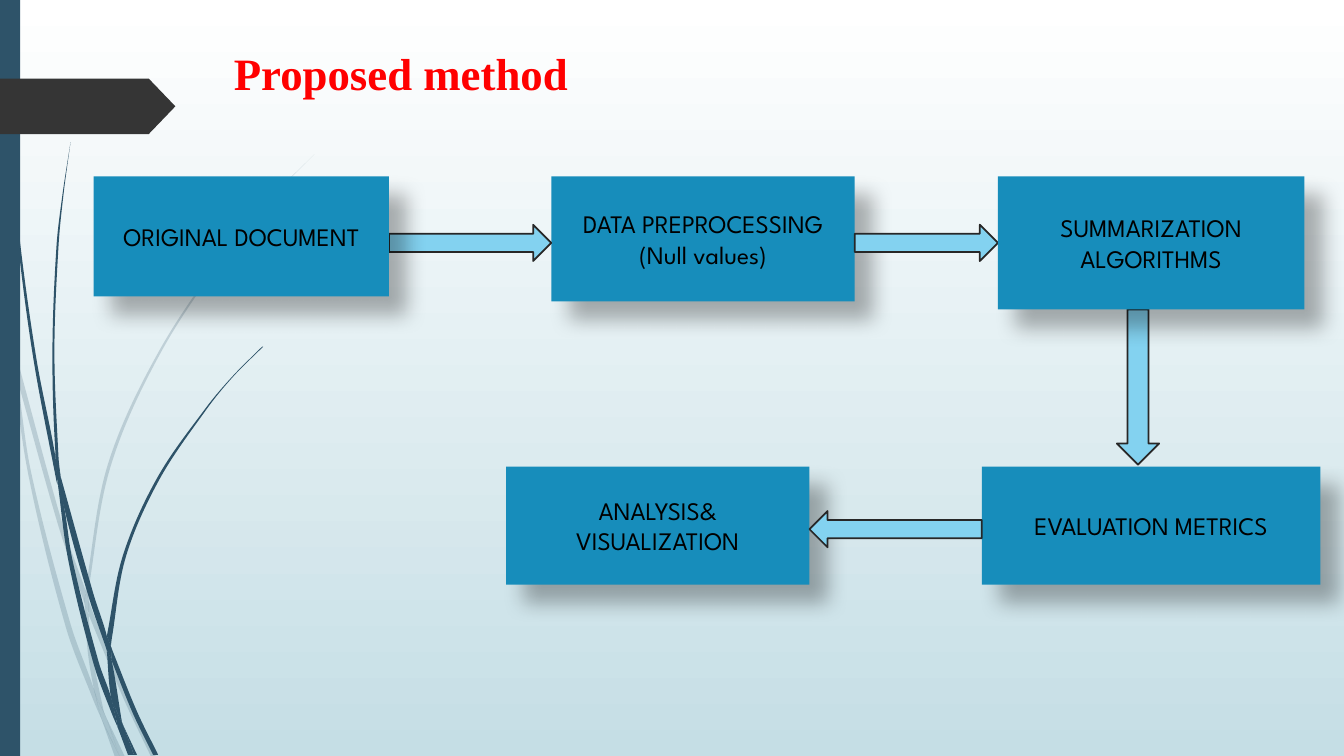
from math import dist

from lxml.etree import SubElement
from pptx import Presentation
from pptx.dml.color import RGBColor
from pptx.enum.shapes import MSO_SHAPE
from pptx.enum.text import MSO_ANCHOR, MSO_AUTO_SIZE, PP_ALIGN
from pptx.oxml.ns import qn
from pptx.util import Pt

PX = 9144  # one px is a hundredth of an inch

WHITE = RGBColor(0xFF, 0xFF, 0xFF)
BLACK = RGBColor(0x00, 0x00, 0x00)
RED = RGBColor(0xFF, 0x00, 0x00)
MIST = RGBColor(0xC5, 0xDE, 0xE5)
NAVY = RGBColor(0x2E, 0x53, 0x69)
CHARCOAL = RGBColor(0x35, 0x35, 0x35)
BLUE = RGBColor(0x17, 0x8D, 0xBB)
SKY = RGBColor(0x83, 0xD2, 0xF0)
INK = RGBColor(0x27, 0x27, 0x27)

TITLE_FONT = {"name": "Times New Roman", "size": Pt(32), "bold": True}
STEP_FONT = {"name": "League Spartan", "size": Pt(18), "bold": False}

# Grass pieces: x,y knots of both edges, from tip to root
FAINT_GRASS = """
0,282 9,322 11,350 | 0,299 10,344 11,350
14,345 62,520 85,586 | 17,376 58,522 84,599
88,596 92,607 127,692 155,751 | 88,610 123,694 150,751
105,711 124,751 | 105,711 119,751
11,350 17,376 31,469 70,619 93,683 99,707 101,714 | 11,350 28,470 65,621 92,693 101,714
88,610 91,646 103,706 105,711 | 84,599 87,646 93,683 96,692 105,711
312,153 268,198 229,245 160,349 110,462 88,584 88,596 | 312,153 268,197 228,244 158,348 107,461 85,584 85,586
101,714 119,751 | 101,714 114,751
85,586 88,596 88,610 | 85,586 84,599 88,608
93,683 96,692 105,711 119,751 | 93,683 99,707 101,714 119,751
"""
DARK_GRASS = """
4,0 5,48 8,109 19,232 36,355 55,453 57,481 | 3,0 4,48 7,110 17,233 33,355 56,477 57,481
60,472 93,590 106,631 106,645 | 60,472 64,505 88,592 106,645
110,641 113,649 136,706 157,749 | 111,656 132,708 152,749
57,477 64,505 72,556 98,657 110,691 117,722 | 57,477 68,557 93,659 111,708 117,722
70,141 63,193 58,245 54,349 58,453 60,472 | 70,141 62,193 56,245 52,349 55,449 60,472
122,719 136,749 | 122,719 133,749
55,449 60,472 64,505 | 55,449 55,453 57,477 64,505
261,344 231,374 205,406 158,476 125,552 111,633 110,641 | 260,344 231,373 204,405 156,474 122,551 106,631
117,722 131,749 | 117,722 127,749
106,645 111,656 121,716 122,719 | 106,645 110,691 116,706 122,719
106,631 110,641 111,656 | 106,631 106,645 109,651 111,656
110,691 116,706 122,719 133,749 | 110,691 116,717 117,722 130,749
"""

# Process steps: left, top, width, height and lines
STEPS = {
    "document": (93, 175, 293, 119, ["ORIGINAL DOCUMENT"]),
    "preprocessing": (547, 175, 301, 124, ["DATA PREPROCESSING", "(Null values)"]),
    "algorithms": (990, 175, 304, 132, ["SUMMARIZATION ALGORITHMS"]),
    "metrics": (974, 463, 336, 117, ["EVALUATION METRICS"]),
    "analysis": (502, 463, 301, 117, ["ANALYSIS& VISUALIZATION"]),
}


def handle(knot, toward, behind):
    """Control point that leaves knot toward the next one on a smooth curve."""
    reach = dist(knot, toward)
    share = reach / (3 * (reach + dist(knot, behind)) or 1)
    return tuple(k + (t - b) * share for k, t, b in zip(knot, toward, behind))


class FlowSlide:
    def __init__(self, presentation):
        self.slide = presentation.slides.add_slide(presentation.slide_layouts[5])
        self.shapes = self.slide.shapes

    def background(self, top, bottom):
        fill = self.slide.background.fill
        fill.gradient()
        fill.gradient_angle = 270
        for stop, color in zip(fill.gradient_stops, (top, bottom)):
            stop.color.rgb = color

    def style_text(self, paragraph, values, color, alignment):
        paragraph.alignment = alignment
        for key, value in values.items():
            setattr(paragraph.font, key, value)
        paragraph.font.color.rgb = color

    def title(self, text, *box):
        heading = self.shapes.title
        for key, length in zip(("left", "top", "width", "height"), box):
            setattr(heading, key, length * PX)
        frame = heading.text_frame
        frame.text = text
        settings = {"auto_size": MSO_AUTO_SIZE.NONE, "word_wrap": True,
                    "vertical_anchor": MSO_ANCHOR.TOP}
        for key, value in settings.items():
            setattr(frame, key, value)
        self.style_text(frame.paragraphs[0], TITLE_FONT, RED, PP_ALIGN.LEFT)

    def paint(self, shape, color):
        shape.shadow.inherit = False
        shape.fill.solid()
        shape.fill.fore_color.rgb = color
        shape.line.fill.background()

    def block(self, kind, box, color):
        shape = self.shapes.add_shape(kind, *(length * PX for length in box))
        self.paint(shape, color)
        return shape

    def grass(self, piece, opacity):
        edges = [[tuple(int(n) * PX for n in knot.split(",")) for knot in edge.split()]
                 for edge in piece.split("|")]
        outline = edges[0] + edges[1][::-1]
        builder = self.shapes.build_freeform(*outline[0], scale=1.0)
        builder.add_line_segments(outline[1:], close=True)
        blade = builder.convert_to_shape()
        self.paint(blade, NAVY)
        self.bend(blade, len(edges[0]))
        if opacity < 100:
            color = blade._element.spPr.find(f".//{qn('a:srgbClr')}")
            SubElement(color, qn("a:alpha"), val=str(opacity * 1000))

    def bend(self, blade, turn):
        """Turn the segments of both edges into cubic curves."""
        segments = blade._element.spPr.findall(f".//{qn('a:path')}/*")[:-1]
        knots = [(int(s[0].get("x")), int(s[0].get("y"))) for s in segments]
        for first, last in ((0, turn - 1), (turn, len(knots) - 1)):
            for i in range(first, last):
                start, end = knots[i], knots[i + 1]
                before, after = knots[max(i - 1, first)], knots[min(i + 2, last)]
                line = segments[i + 1]
                curve = line.makeelement(qn("a:cubicBezTo"))
                for x, y in (handle(start, end, before), handle(end, start, after), end):
                    SubElement(curve, qn("a:pt"), x=str(round(x)), y=str(round(y)))
                line.getparent().replace(line, curve)

    def step(self, left, top, width, height, lines):
        panel = self.block(MSO_SHAPE.RECTANGLE, (left, top, width, height), BLUE)
        effects = panel._element.spPr.find(qn("a:effectLst"))
        shadow = SubElement(effects, qn("a:outerShdw"), blurRad=str(Pt(15)),
                            dist=str(Pt(18)), dir=str(45 * 60000))
        color = SubElement(shadow, qn("a:srgbClr"), val=str(BLACK))
        SubElement(color, qn("a:alpha"), val="30000")
        frame = panel.text_frame
        frame.word_wrap = True
        frame.vertical_anchor = MSO_ANCHOR.MIDDLE
        frame.text = "\n".join(lines)
        for paragraph in frame.paragraphs:
            self.style_text(paragraph, STEP_FONT, BLACK, PP_ALIGN.CENTER)

    def arrow(self, kind, *box):
        pointer = self.block(kind, box, SKY)
        pointer.line.color.rgb = INK
        pointer.line.width = Pt(1.25)


def main():
    presentation = Presentation()
    presentation.slide_width, presentation.slide_height = Pt(960), Pt(540)
    flow = FlowSlide(presentation)

    # Backdrop: gradient, grass, side bar and tag
    flow.background(WHITE, MIST)
    for pieces, opacity in ((FAINT_GRASS, 20), (DARK_GRASS, 100)):
        for piece in pieces.strip().splitlines():
            flow.grass(piece, opacity)
    flow.block(MSO_SHAPE.RECTANGLE, (0, 0, 20, 750), NAVY)
    tag = flow.block(MSO_SHAPE.PENTAGON, (0, 78, 174, 55), CHARCOAL)
    tag.adjustments[0] = 0.48

    flow.title("Proposed method", 222, 40, 667, 64)

    # Steps whose shadows lie below the arrows
    for name in ("preprocessing", "analysis", "metrics"):
        flow.step(*STEPS[name])

    # Arrows, each filling the gap between its two neighbours
    for kind, west, east, top in (
            (MSO_SHAPE.LEFT_ARROW, "analysis", "metrics", 507),
            (MSO_SHAPE.RIGHT_ARROW, "document", "preprocessing", 223),
            (MSO_SHAPE.RIGHT_ARROW, "preprocessing", "algorithms", 223)):
        start = STEPS[west][0] + STEPS[west][2]
        flow.arrow(kind, start, top, STEPS[east][0] - start, 36)
    flow.arrow(MSO_SHAPE.DOWN_ARROW, 1108, 307, 42, 154)

    # Steps whose shadows fall on the arrows
    for name in ("document", "algorithms"):
        flow.step(*STEPS[name])

    presentation.save("out.pptx")


if __name__ == "__main__":
    main()
